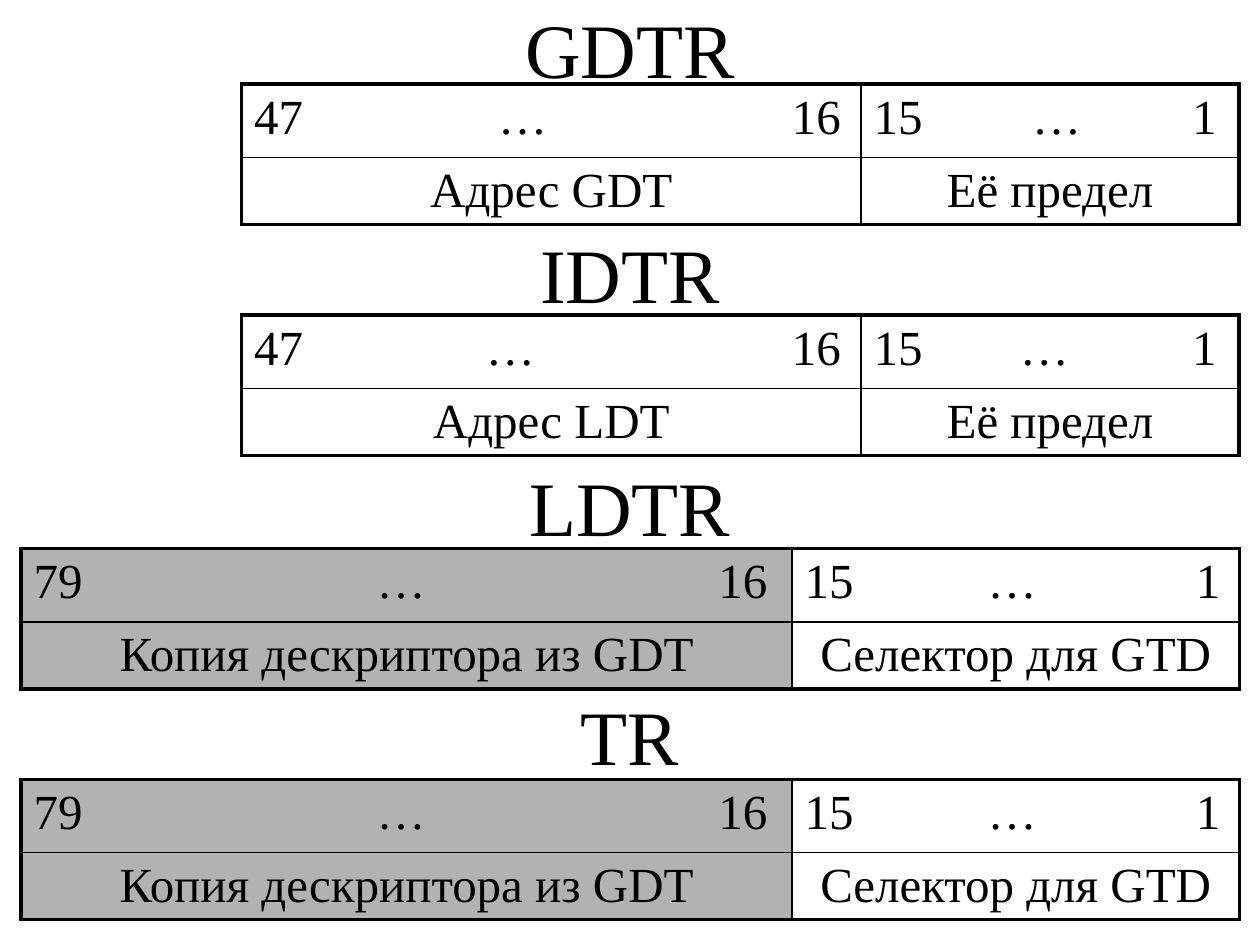
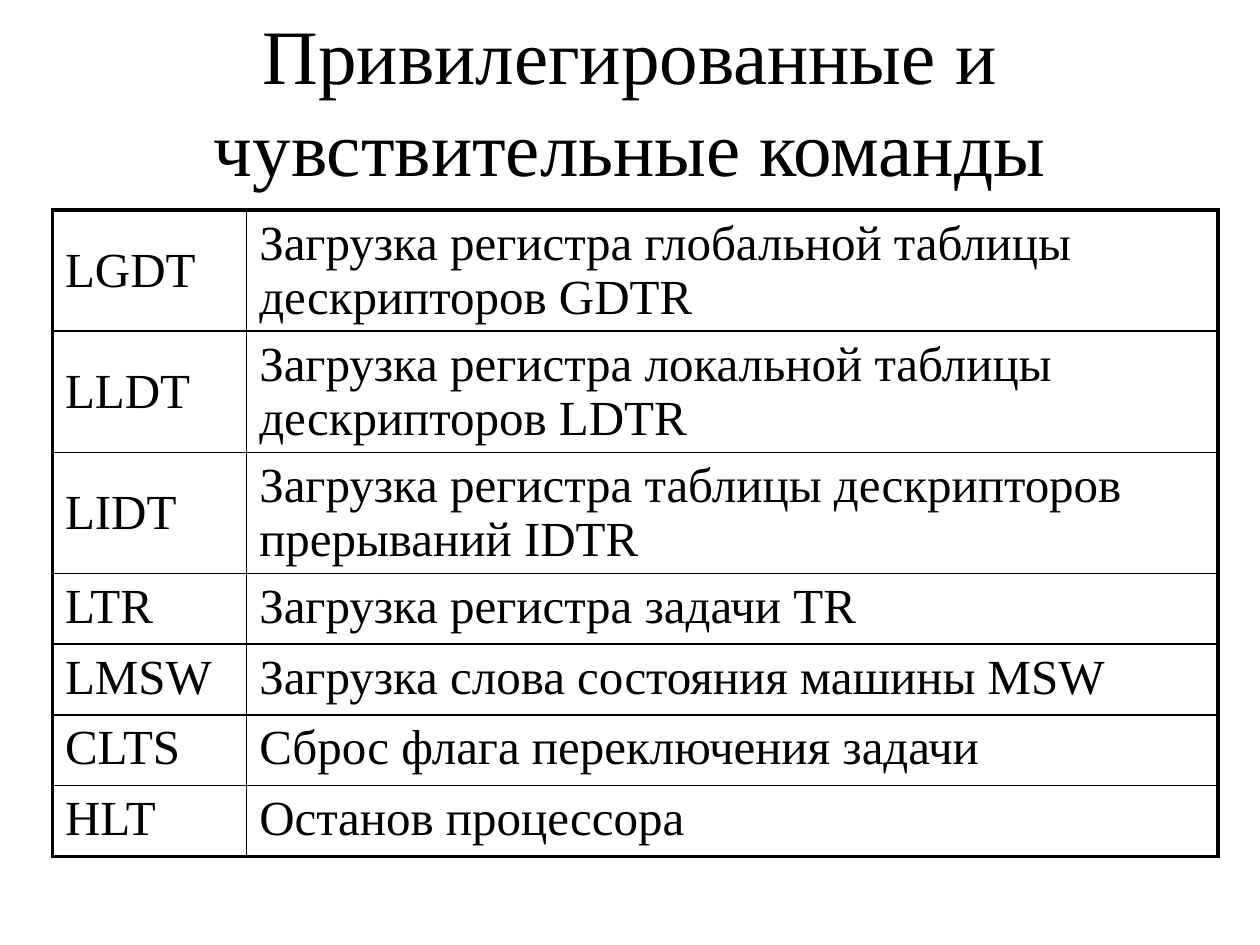
import lxml.etree
import pptx
import pptx.dml.color
import pptx.enum.text
import pptx.oxml.ns
import pptx.util

Pt = pptx.util.Pt
qn = pptx.oxml.ns.qn
ALIGN = pptx.enum.text.PP_ALIGN
ANCHOR = pptx.enum.text.MSO_ANCHOR

# Shared look
BLACK = pptx.dml.color.RGBColor(0x00, 0x00, 0x00)
GREY = pptx.dml.color.RGBColor(0xB2, 0xB2, 0xB2)
FONT = "Times New Roman"
TITLE_FONT = {"name": FONT, "size": Pt(44), "bold": False}
CELL_FONT = {"name": FONT, "size": Pt(28), "bold": False}
TITLE_LEADING, CELL_LEADING = 52.6, 31
OUTER, INNER = 2.25, 1
TITLE_LEFT, TITLE_WIDTH = 54, 612

# Registers: name, title (top, height), table (left, top), fields
# Field: width, first bit, dots position, last bit, its right edge, meaning, fill
SHADOW_FIELDS = [
    (440.6, "79", 210, "16", 419.3, "Копия дескриптора из GDT", GREY),
    (255.6, "15", 118.5, "1", 237.5, "Селектор для GTD", None),
]
REGISTERS = [
    ("GDTR", (6.4, 42), (138, 48), [
        (354, "47", 153.5, "16", 335.3, "Адрес GDT", None),
        (216, "15", 104.5, "1", 196, "Её предел", None),
    ]),
    ("IDTR", (132, 48), (138, 180), [
        (354, "47", 146.5, "16", 335.3, "Адрес LDT", None),
        (216, "15", 97.5, "1", 196, "Её предел", None),
    ]),
    ("LDTR", (265, 48), (12, 313.4), SHADOW_FIELDS),
    ("TR", (396, 48), (12, 445.3), SHADOW_FIELDS),
]
BIT_ROW, MEANING_ROW = 42, 38.2

COMMANDS = [
    ("LGDT", "Загрузка регистра глобальной таблицы дескрипторов GDTR"),
    ("LLDT", "Загрузка регистра локальной таблицы дескрипторов LDTR"),
    ("LIDT", "Загрузка регистра таблицы дескрипторов прерываний IDTR"),
    ("LTR", "Загрузка регистра задачи TR"),
    ("LMSW", "Загрузка слова состояния машины MSW"),
    ("CLTS", "Сброс флага переключения задачи"),
    ("HLT", "Останов процессора"),
]
TWO_LINE_COMMANDS = 3
TWO_LINE_ROW, ONE_LINE_ROW = 69.2, 40.4


def add_text(p, text, font, leading, align=ALIGN.LEFT):
    p.alignment = align
    p.line_spacing = Pt(leading)
    r = p.add_run()
    r.text = text
    for key, value in font.items():
        setattr(r.font, key, value)
    r.font.color.rgb = BLACK


def add_title(s, text, top, height):
    sp = s.shapes.add_textbox(Pt(TITLE_LEFT), Pt(top), Pt(TITLE_WIDTH), Pt(height))
    tf = sp.text_frame
    tf.word_wrap = True
    tf.vertical_anchor = ANCHOR.MIDDLE
    add_text(tf.paragraphs[0], text, TITLE_FONT, TITLE_LEADING, ALIGN.CENTER)


def fill_cell(cell, text, align=ALIGN.LEFT):
    add_text(cell.text_frame.paragraphs[0], text, CELL_FONT, CELL_LEADING, align)


def add_border(cell, side, width):
    tc_pr = cell._tc.get_or_add_tcPr()
    ln = lxml.etree.SubElement(tc_pr, qn("a:ln" + side), w=str(Pt(width)))
    fill = lxml.etree.SubElement(ln, qn("a:solidFill"))
    lxml.etree.SubElement(fill, qn("a:srgbClr"), val=str(BLACK))


def add_grid(s, left, top, widths, heights):
    """Add an unfilled table with a thick frame and thin inner lines."""
    rows, cols = len(heights), len(widths)
    table = s.shapes.add_table(rows, cols, Pt(left), Pt(top),
                               Pt(sum(widths)), Pt(sum(heights))).table
    table.first_row = table.horz_banding = False
    for col, width in zip(table.columns, widths):
        col.width = Pt(width)
    for row, height in zip(table.rows, heights):
        row.height = Pt(height)
    for i in range(rows):
        for j in range(cols):
            cell = table.cell(i, j)
            edges = {"L": j == 0, "R": j == cols - 1, "T": i == 0, "B": i == rows - 1}
            for side, is_outer in edges.items():
                add_border(cell, side, OUTER if is_outer else INNER)
            cell.fill.background()
    return table


def add_tabs(p, stops):
    # Line spacing must precede the tab list
    p.line_spacing = Pt(CELL_LEADING)
    tabs = lxml.etree.SubElement(p._p.get_or_add_pPr(), qn("a:tabLst"))
    for pos, align in stops:
        lxml.etree.SubElement(tabs, qn("a:tab"), pos=str(Pt(pos)), algn=align)


def add_register(s, left, top, fields):
    table = add_grid(s, left, top, [f[0] for f in fields], [BIT_ROW, MEANING_ROW])
    for j, (_, first, dots, last, end, meaning, fill) in enumerate(fields):
        bits, label = table.cell(0, j), table.cell(1, j)
        # Bit numbers: left, centred dots, right
        add_tabs(bits.text_frame.paragraphs[0], [(dots, "ctr"), (end, "r")])
        fill_cell(bits, f"{first}\t…\t{last}")
        fill_cell(label, meaning, ALIGN.CENTER)
        if fill is not None:
            for cell in (bits, label):
                cell.fill.solid()
                cell.fill.fore_color.rgb = fill


def add_commands(s, left, top):
    heights = [TWO_LINE_ROW if i < TWO_LINE_COMMANDS else ONE_LINE_ROW
               for i in range(len(COMMANDS))]
    table = add_grid(s, left, top, [111, 555], heights)
    for i, texts in enumerate(COMMANDS):
        for j, text in enumerate(texts):
            fill_cell(table.cell(i, j), text)
        if i < TWO_LINE_COMMANDS:
            table.cell(i, 0).vertical_anchor = ANCHOR.MIDDLE


def main():
    prs = pptx.Presentation()
    prs.slide_width, prs.slide_height = Pt(720), Pt(540)
    blank = prs.slide_layouts[6]

    # Register formats
    s = prs.slides.add_slide(blank)
    for name, title_box, table_pos, fields in REGISTERS:
        add_title(s, name, *title_box)
        add_register(s, *table_pos, fields)

    # Privileged commands
    s = prs.slides.add_slide(blank)
    add_title(s, "Привилегированные и чувствительные команды", 12, 90)
    add_commands(s, 30, 120)

    prs.save("out.pptx")


if __name__ == "__main__":
    main()
